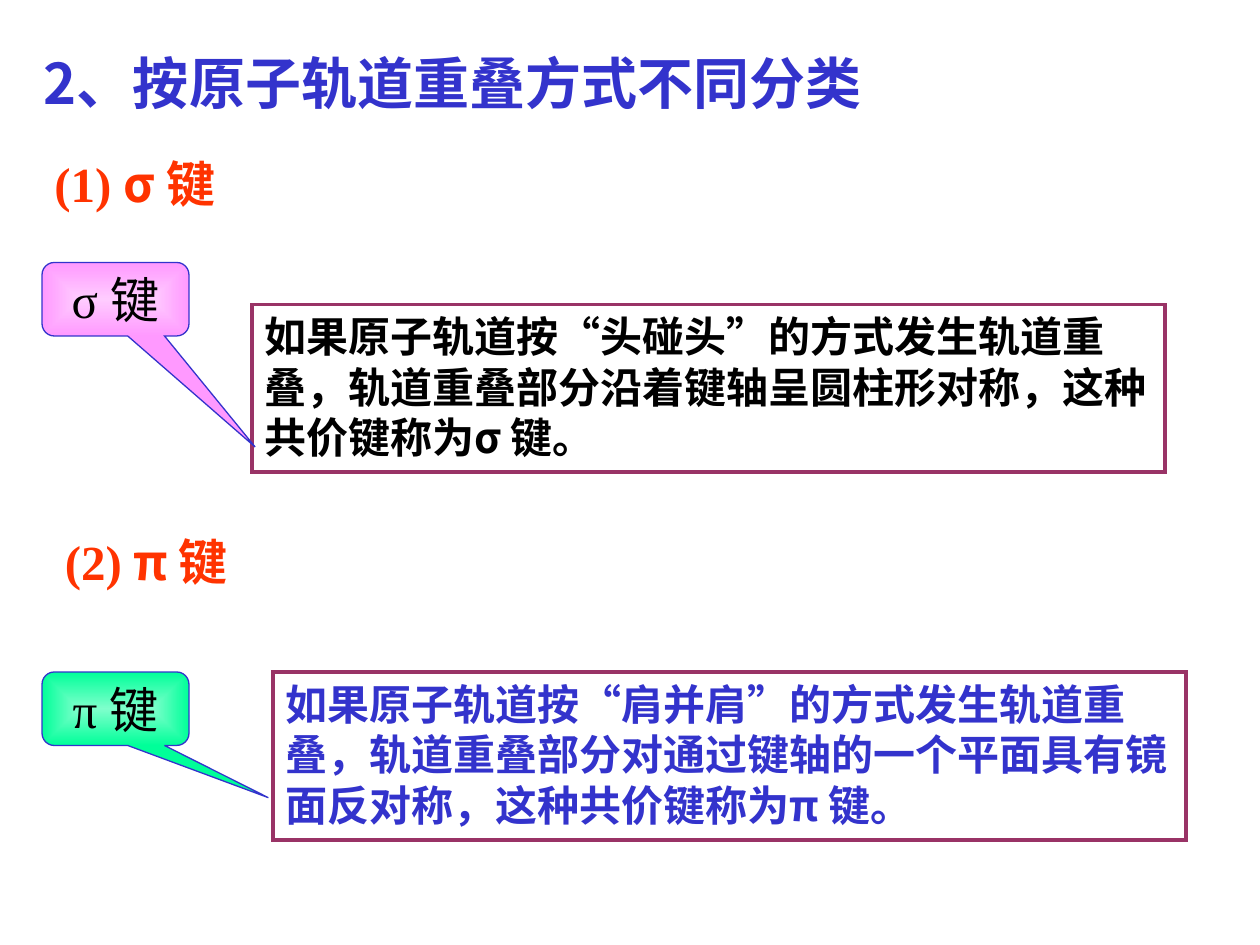
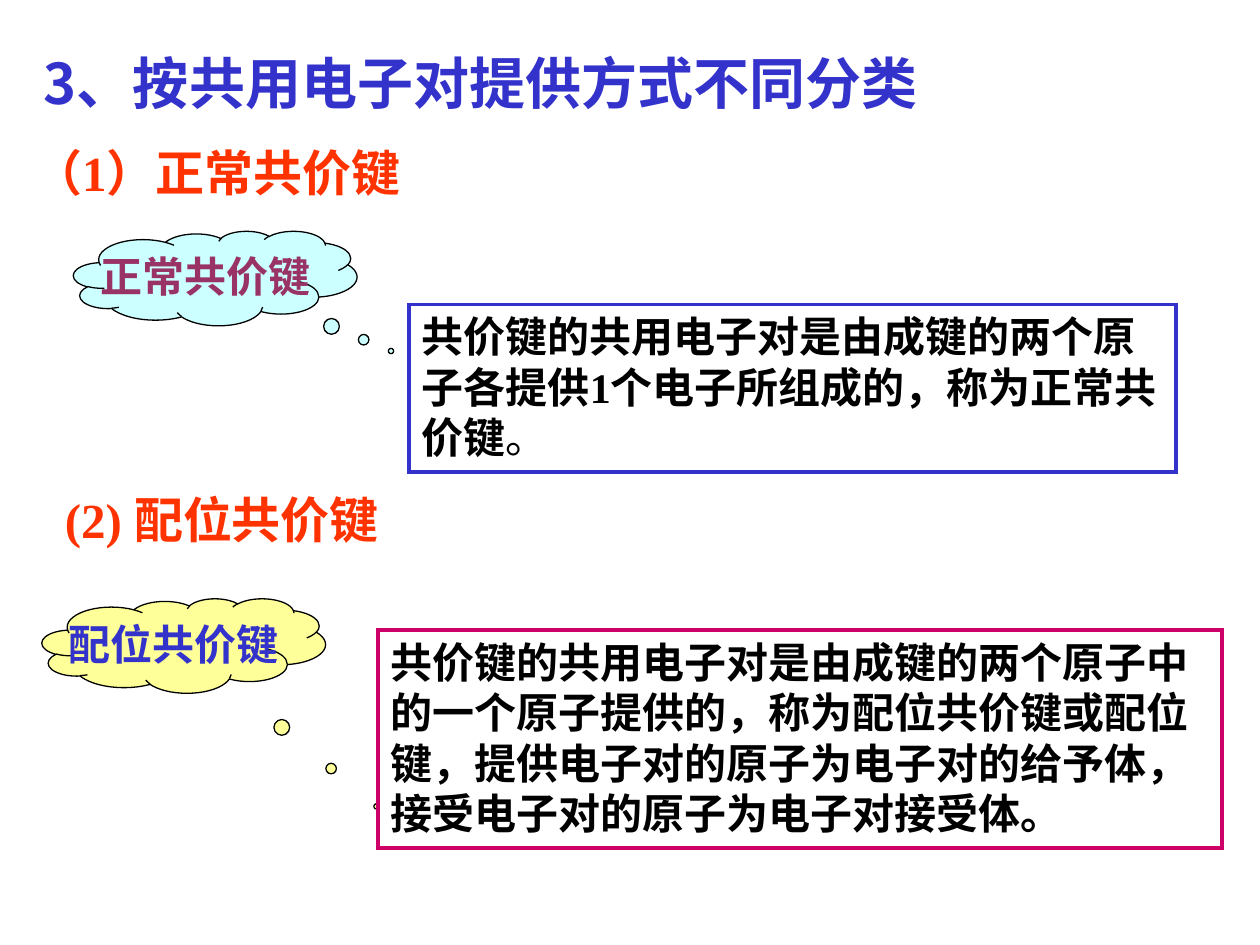
from lxml import etree
from pptx import Presentation
from pptx.dml.color import RGBColor
from pptx.enum.shapes import MSO_SHAPE
from pptx.enum.text import MSO_ANCHOR, MSO_AUTO_SIZE, PP_ALIGN
from pptx.oxml.ns import qn
from pptx.util import Inches, Pt

RECT = MSO_SHAPE.RECTANGLE
WEDGE = MSO_SHAPE.ROUNDED_RECTANGULAR_CALLOUT
CLOUD = MSO_SHAPE.CLOUD_CALLOUT
LEFT, MID = PP_ALIGN.LEFT, PP_ALIGN.CENTER
TOP, CENTER = MSO_ANCHOR.TOP, MSO_ANCHOR.MIDDLE
GROW, FIXED = MSO_AUTO_SIZE.SHAPE_TO_FIT_TEXT, MSO_AUTO_SIZE.NONE

BLUE = RGBColor(0x33, 0x33, 0xCC)
RED = RGBColor(0xFF, 0x33, 0x00)
PLUM = RGBColor(0x99, 0x33, 0x66)
ROSE = RGBColor(0xCC, 0x00, 0x66)
BLACK = RGBColor(0, 0, 0)
PINKS = (RGBColor(0xFF, 0xCC, 0xFF), RGBColor(0xFF, 0x99, 0xFF))
GREENS = (RGBColor(0x7F, 0xFF, 0xCC), RGBColor(0x00, 0xFF, 0x99))
AQUA = RGBColor(0xCC, 0xFF, 0xFF)
YELLOW = RGBColor(0xFF, 0xFF, 0x99)

SANS, SERIF = "Noto Sans CJK SC", "Times New Roman"
UNIT = Inches(10) // 120

TITLE = dict(size=Pt(32), name=SANS, bold=True, color=BLUE)
HEAD = dict(size=Pt(28), name=SERIF, bold=True, color=RED)
HEAD_CN = {**HEAD, "name": SANS}
BODY = dict(size=Pt(24), name=SERIF, bold=True, color=BLACK)
BODY_CN = {**BODY, "name": SANS}
TAG = dict(size=Pt(28), name=SERIF, bold=False, color=BLACK)

SLIDES = [
    dict(
        title=("2、按原子轨道重叠方式不同分类", 93),
        heads=[((4, 14, 30.5, 6.8), "(1) ", "σ 键"),
               ((5, 50, 20, 6.8), "(2)", " π 键")],
        boxes=[((24, 29, 87, 16), PLUM,
                [("如果原子轨道按“头碰头”的方式发生轨道重叠，轨道重叠部分沿着键轴呈圆柱形对称，这种共价键称为σ 键。", BODY_CN)]),
               ((26, 64, 87, 16), PLUM,
                [("如果原子轨道按“肩并肩”的方式发生轨道重叠，轨道重叠部分对通过键轴的一个平面具有镜面反对称，这种共价键称为π 键。",
                  {**BODY_CN, "color": BLUE})])],
        tags=[(WEDGE, (4, 25, 14, 7), (0.95, 2.01), PINKS, BLUE, "σ 键", TAG),
              (WEDGE, (4, 64, 14, 7), (1.04, 1.21), GREENS, BLUE, "π 键", TAG)],
        order=("boxes", "tags"),
    ),
    dict(
        title=("3、按共用电子对提供方式不同分类", 100.5),
        heads=[((2, 13, 55, 6.8), "（1）", "正常共价键"),
               ((5, 46, 44.6, 6.8), "(2) ", "配位共价键")],
        boxes=[((39, 29, 73, 16), BLUE,
                [("共价键的共用电子对是由成键的两个原子各提供1个电子所组成的，称为正常共价键", BODY),
                 ("。", {**BODY, "bold": False})]),
               ((36, 60, 80.4, 20.8), ROSE,
                [("共价键的共用电子对是由成键的两个原子中的一个原子提供的，称为配位共价键或配位键，提供电子对的原子为电子对的给予体，接受电子对的原子为电子对接受体。", BODY)])],
        tags=[(CLOUD, (7, 22, 27, 9), (0.62, 0.77), AQUA, BLACK, "正常共价键",
               {**BODY, "color": PLUM}),
              (CLOUD, (4, 57, 27, 9), (0.68, 1.7), YELLOW, BLACK, "配位共价键",
               {**BODY, "color": BLUE})],
        order=("tags", "boxes"),
    ),
]


def place(cells):
    return [round(cell * UNIT) for cell in cells]


def write(shape, runs, align=LEFT, anchor=TOP, wrap=True, fit=GROW):
    frame = shape.text_frame
    form = dict(word_wrap=wrap, auto_size=fit, vertical_anchor=anchor)
    for key, value in form.items():
        setattr(frame, key, value)
    para = frame.paragraphs[0]
    para.alignment = align
    para._p.get_or_add_pPr().set("hangingPunct", "0")
    for text, style in runs:
        run = para.add_run()
        run.text = text
        for key, value in style.items():
            if key == "color":
                run.font.color.rgb = value
            else:
                setattr(run.font, key, value)
        latin = run.font._element.find(qn("a:latin"))
        east = etree.Element(qn("a:ea"), typeface=SANS)
        latin.addnext(east)


def outline(shape, color, width):
    shape.shadow.inherit = False
    shape.line.color.rgb = color
    shape.line.width = Pt(width)
    edge = shape._element.spPr.find(qn("a:ln"))
    etree.SubElement(edge, qn("a:miter"), lim="800000")


def blend(shape, tones):
    shape.fill.gradient()
    for stop, tone in zip(shape.fill.gradient_stops, tones):
        stop.color.rgb = tone
    grad = shape._element.spPr.find(qn("a:gradFill"))
    grad.remove(grad.find(qn("a:lin")))
    route = etree.SubElement(grad, qn("a:path"), path="rect")
    sides = dict.fromkeys("ltrb", "50000")
    etree.SubElement(route, qn("a:fillToRect"), sides)


def add_label(slide, cells, runs, wrap=True):
    write(slide.shapes.add_textbox(*place(cells)), runs, wrap=wrap)


def add_box(slide, cells, color, runs):
    box = slide.shapes.add_shape(RECT, *place(cells))
    box.fill.background()
    outline(box, color, 2.25)
    write(box, runs)


def add_tag(slide, kind, cells, tip, tone, edge, text, style):
    tag = slide.shapes.add_shape(kind, *place(cells))
    for index, value in enumerate(tip):
        tag.adjustments[index] = value
    if kind == WEDGE:
        blend(tag, tone)
    else:
        tag.fill.solid()
        tag.fill.fore_color.rgb = tone
    outline(tag, edge, 0.75)
    write(tag, [(text, style)], MID, CENTER, False, FIXED)


def main():
    deck = Presentation()
    deck.slide_width, deck.slide_height = 120 * UNIT, 90 * UNIT
    makers = dict(boxes=add_box, tags=add_tag)
    for page in SLIDES:
        slide = deck.slides.add_slide(deck.slide_layouts[6])
        title, width = page["title"]
        add_label(slide, (3, 4, width, 7.6), [(title, TITLE)])
        for cells, mark, name in page["heads"]:
            add_label(slide, cells, [(mark, HEAD), (name, HEAD_CN)])
        for part in page["order"]:
            for item in page[part]:
                makers[part](slide, *item)
    deck.save("out.pptx")


if __name__ == "__main__":
    main()
